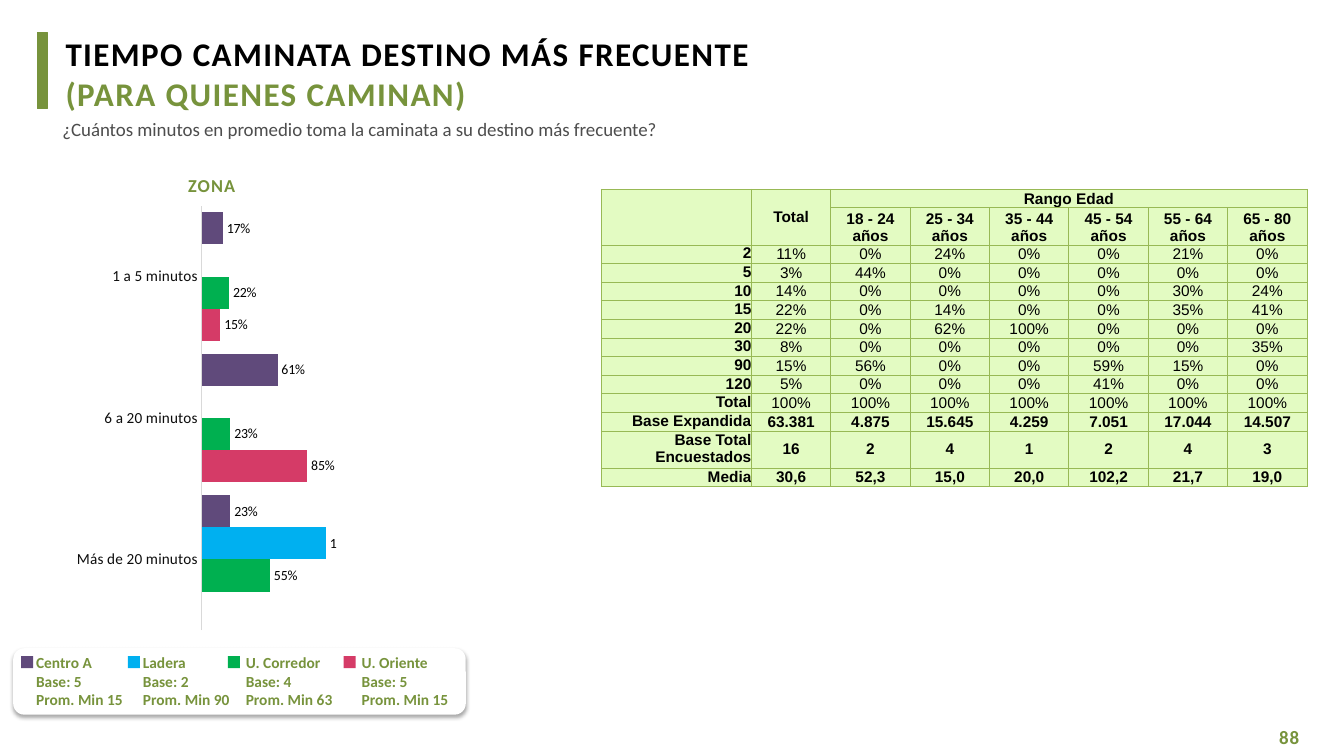
from lxml import etree
from pptx import Presentation
from pptx.chart.data import CategoryChartData
from pptx.dml.color import RGBColor
from pptx.enum.chart import XL_CHART_TYPE, XL_LABEL_POSITION, XL_TICK_MARK
from pptx.enum.shapes import MSO_SHAPE
from pptx.enum.text import MSO_ANCHOR, MSO_AUTO_SIZE, PP_ALIGN
from pptx.oxml import parse_xml
from pptx.oxml.ns import nsdecls, qn
from pptx.util import Pt

BAR_CLUSTERED = XL_CHART_TYPE.BAR_CLUSTERED
OUTSIDE_END = XL_LABEL_POSITION.OUTSIDE_END
NO_TICK = XL_TICK_MARK.NONE
RECTANGLE, ROUNDED = MSO_SHAPE.RECTANGLE, MSO_SHAPE.ROUNDED_RECTANGLE
TOP, MIDDLE, BOTTOM = MSO_ANCHOR.TOP, MSO_ANCHOR.MIDDLE, MSO_ANCHOR.BOTTOM
FIT_SHAPE, NO_FIT = MSO_AUTO_SIZE.SHAPE_TO_FIT_TEXT, MSO_AUTO_SIZE.NONE
LEFT, CENTER, RIGHT = PP_ALIGN.LEFT, PP_ALIGN.CENTER, PP_ALIGN.RIGHT

GREEN = RGBColor(0x77, 0x93, 0x3C)
BLACK = RGBColor(0, 0, 0)
WHITE = RGBColor(0xFF, 0xFF, 0xFF)
GRAY = RGBColor(0x4D, 0x4D, 0x4D)
AXIS_TEXT = RGBColor(0x0D, 0x0D, 0x0D)
AXIS_LINE = RGBColor(0xD9, 0xD9, 0xD9)
CELL_FILL = RGBColor(0xE3, 0xFB, 0xC2)
CELL_BORDER = RGBColor(0x98, 0xB9, 0x55)
PURPLE = RGBColor(0x60, 0x4A, 0x7B)
BLUE = RGBColor(0x00, 0xB0, 0xF0)
BAR_GREEN = RGBColor(0x00, 0xB0, 0x50)
PINK = RGBColor(0xD5, 0x3B, 0x67)

# Zone, base, mean minutes, colour, swatch left, text left, values, label format
ZONES = [
    ("Centro A", 5, 15, PURPLE, 15.1, 18.7, (0.17, 0.61, 0.23), "###0%"),
    ("Ladera", 2, 90, BLUE, 91.4, 95, (None, None, 1), "General"),
    ("U. Corredor", 4, 63, BAR_GREEN, 162.7, 168.5, (0.22, 0.23, 0.55), "###0%"),
    ("U. Oriente", 5, 15, PINK, 245.5, 251.3, (0.15, 0.85, None), "###0%"),
]
CATEGORIES = ["1 a 5 minutos", "6 a 20 minutos", "Más de 20 minutos"]

AGES = ["18 - 24", "25 - 34", "35 - 44", "45 - 54", "55 - 64", "65 - 80"]
ROWS = [
    ["", "Total", "Rango Edad"] + [""] * 5,
    ["", ""] + [f"{age} años" for age in AGES],
    ["2", "11%", "0%", "24%", "0%", "0%", "21%", "0%"],
    ["5", "3%", "44%", "0%", "0%", "0%", "0%", "0%"],
    ["10", "14%", "0%", "0%", "0%", "0%", "30%", "24%"],
    ["15", "22%", "0%", "14%", "0%", "0%", "35%", "41%"],
    ["20", "22%", "0%", "62%", "100%", "0%", "0%", "0%"],
    ["30", "8%", "0%", "0%", "0%", "0%", "0%", "35%"],
    ["90", "15%", "56%", "0%", "0%", "59%", "15%", "0%"],
    ["120", "5%", "0%", "0%", "0%", "41%", "0%", "0%"],
    ["Total"] + ["100%"] * 7,
    ["Base Expandida", "63.381", "4.875", "15.645", "4.259", "7.051", "17.044", "14.507"],
    ["Base Total Encuestados", "16", "2", "4", "1", "2", "4", "3"],
    ["Media", "30,6", "52,3", "15,0", "20,0", "102,2", "21,7", "19,0"],
]
HEADER_ROWS, FIRST_BASE_ROW = 2, 11
TALL_ROWS = (1, 12)


def set_font(font, size, color, name="Calibri", bold=False):
    font.size, font.name, font.bold = Pt(size), name, bold
    font.color.rgb = color


def write(para, text, size=11, color=GREEN, name="Calibri", bold=True,
          align=LEFT, spacing=0):
    para.alignment = align
    span = para.add_run()
    span.text = text
    set_font(span.font, size, color, name, bold)
    if spacing:
        span.font._element.set("spc", str(round(spacing * 100)))


def set_frame(frame, insets, wrap=True, fit=FIT_SHAPE):
    frame.margin_left, frame.margin_top, frame.margin_right, frame.margin_bottom = map(Pt, insets)
    frame.vertical_anchor = TOP
    frame.word_wrap = wrap
    frame.auto_size = fit


def add_text(shapes, place, lines, insets=(0, 1, 0, 0), wrap=True, **style):
    box = shapes.add_textbox(*map(Pt, place))
    frame = box.text_frame
    set_frame(frame, insets, wrap)
    for index, line in enumerate(lines):
        para = frame.add_paragraph() if index else frame.paragraphs[0]
        write(para, line, **style)


def add_block(shapes, kind, place, fill):
    block = shapes.add_shape(kind, *map(Pt, place))
    block.shadow.inherit = False
    block.fill.solid()
    block.fill.fore_color.rgb = fill
    block.line.fill.background()
    return block


def add_title(slide):
    title = slide.shapes.title
    title.left, title.top, title.width, title.height = map(Pt, (46.1, 22.3, 558.7, 59))
    frame = title.text_frame
    set_frame(frame, (0.7, 1.4, 0, 0), fit=NO_FIT)
    write(frame.paragraphs[0], "TIEMPO CAMINATA DESTINO MÁS FRECUENTE",
          size=23.6, color=BLACK, spacing=1)
    subtitle = frame.add_paragraph()
    subtitle.space_before = Pt(0.7)
    write(subtitle, "(PARA QUIENES CAMINAN)", size=23.6, spacing=1)


def add_legend(slide):
    shapes = slide.shapes.add_group_shape().shapes
    card = add_block(shapes, ROUNDED, (9.4, 463, 323.3, 47.5), WHITE)
    effects = card._element.spPr.find(qn("a:effectLst"))
    effects.append(parse_xml(
        f'<a:outerShdw {nsdecls("a")} blurRad="{Pt(3.1)}" dist="{Pt(1.8)}" dir="5400000" '
        'rotWithShape="0"><a:srgbClr val="000000"><a:alpha val="35000"/></a:srgbClr></a:outerShdw>'))
    for zone, base, mean, color, swatch_left, text_left, _, _ in ZONES:
        add_block(shapes, RECTANGLE, (swatch_left, 468.7, 8.6, 8.6), color)
        add_text(shapes, (text_left, 463, 77, 47.5),
                 [zone, f"Base: {base}", f"Prom. Min {mean}"],
                 insets=(7.2, 3.6, 7.2, 3.6), wrap=False)


def add_zone_chart(slide):
    data = CategoryChartData()
    data.categories = CATEGORIES
    for zone in ZONES:
        data.add_series(zone[0], zone[6])
    frame = slide.shapes.add_chart(BAR_CLUSTERED, *map(Pt, (-2, 134, 242.6, 326)), data)
    chart = frame.chart
    chart.has_legend = chart.has_title = False
    set_font(chart.font, 10, BLACK)

    # Axes
    categories, values = chart.category_axis, chart.value_axis
    categories.reverse_order = True
    categories.major_tick_mark = NO_TICK
    categories.format.line.color.rgb = AXIS_LINE
    categories.format.line.width = Pt(0.75)
    set_font(categories.tick_labels.font, 11, AXIS_TEXT)
    values.minimum_scale, values.maximum_scale = 0, 1
    values.has_major_gridlines = values.visible = False

    # Bars and their labels
    plot = chart.plots[0]
    plot.gap_width, plot.overlap = 40, 0
    plot.vary_by_categories = False
    for series, zone in zip(plot.series, ZONES):
        series.invert_if_negative = False
        series.format.fill.solid()
        series.format.fill.fore_color.rgb = zone[3]
        labels = series.data_labels
        labels.show_value = True
        labels.position = OUTSIDE_END
        labels.number_format, labels.number_format_is_linked = zone[7], False
        set_font(labels.font, 10, BLACK)

    # Inner plot area
    area = chart._chartSpace.chart.plotArea
    for old in area.findall(qn("c:layout")):
        area.remove(old)
    layout = etree.Element(qn("c:layout"))
    manual = etree.SubElement(layout, qn("c:manualLayout"))
    for tag, value in (("layoutTarget", "inner"), ("xMode", "edge"), ("yMode", "edge"),
                       ("x", 0.61), ("y", 0.04), ("w", 0.37), ("h", 0.93)):
        etree.SubElement(manual, qn(f"c:{tag}")).set("val", str(value))
    area.insert(0, layout)


def format_cell(cell, text, anchor, **style):
    cell.margin_left = cell.margin_right = cell.margin_top = cell.margin_bottom = 0
    cell.vertical_anchor = anchor
    properties = cell._tc.get_or_add_tcPr()
    for side in ("lnL", "lnR", "lnT", "lnB"):
        properties.append(parse_xml(
            f'<a:{side} {nsdecls("a")} w="{Pt(0.75)}"><a:solidFill>'
            f'<a:srgbClr val="{CELL_BORDER}"/></a:solidFill></a:{side}>'))
    cell.fill.solid()
    cell.fill.fore_color.rgb = CELL_FILL
    para = cell.text_frame.paragraphs[0]
    if text:
        write(para, text, color=BLACK, name="Arial", **style)
    else:
        etree.SubElement(para._p, qn("a:endParaRPr")).set("sz", "1100")


def add_age_table(slide):
    frame = slide.shapes.add_table(len(ROWS), len(ROWS[0]), *map(Pt, (429.6, 135.2, 504.1, 212.6)))
    table = frame.table
    table.first_row = table.horz_banding = False
    for index, column in enumerate(table.columns):
        column.width = Pt(56.7 if index else 107.2)
    for index, row in enumerate(table.rows):
        row.height = Pt(26.5 if index in TALL_ROWS else 13.3)
    for r, row in enumerate(ROWS):
        for c, text in enumerate(row):
            header = r < HEADER_ROWS
            anchor = BOTTOM if header and c > 1 else MIDDLE if c else TOP
            format_cell(table.cell(r, c), text, anchor, align=CENTER if c else RIGHT,
                        bold=header or c == 0 or r >= FIRST_BASE_ROW)
    for first, last in (((0, 0), (1, 0)), ((0, 1), (1, 1)), ((0, 2), (0, 7))):
        table.cell(*first).merge(table.cell(*last))


def main():
    deck = Presentation()
    deck.slide_width, deck.slide_height = Pt(960), Pt(540)
    page = deck.slides.add_slide(deck.slide_layouts[5])

    # Heading
    bar = add_block(page.shapes, RECTANGLE, (26.6, 23, 7.2, 54.7), GREEN)
    bar.line.color.rgb, bar.line.width = GREEN, Pt(0.75)
    add_title(page)
    add_text(page.shapes, (43.9, 83.2, 715, 17.3),
             ["¿Cuántos minutos en promedio toma la caminata a su destino más frecuente?"],
             insets=(0.7, 1, 0, 0), size=13.5, color=GRAY, bold=False)

    # Zone chart and age table
    add_text(page.shapes, (66.2, 123.5, 170, 16.6), ["ZONA"],
             size=13, align=CENTER, spacing=0.8)
    add_legend(page)
    add_zone_chart(page)
    add_age_table(page)

    # Page number
    add_text(page.shapes, (909.4, 516.6, 35.3, 17.3), ["88"],
             insets=(4.3, 1.7, 0, 0), size=13.5, spacing=0.6)
    deck.save("out.pptx")


if __name__ == "__main__":
    main()
